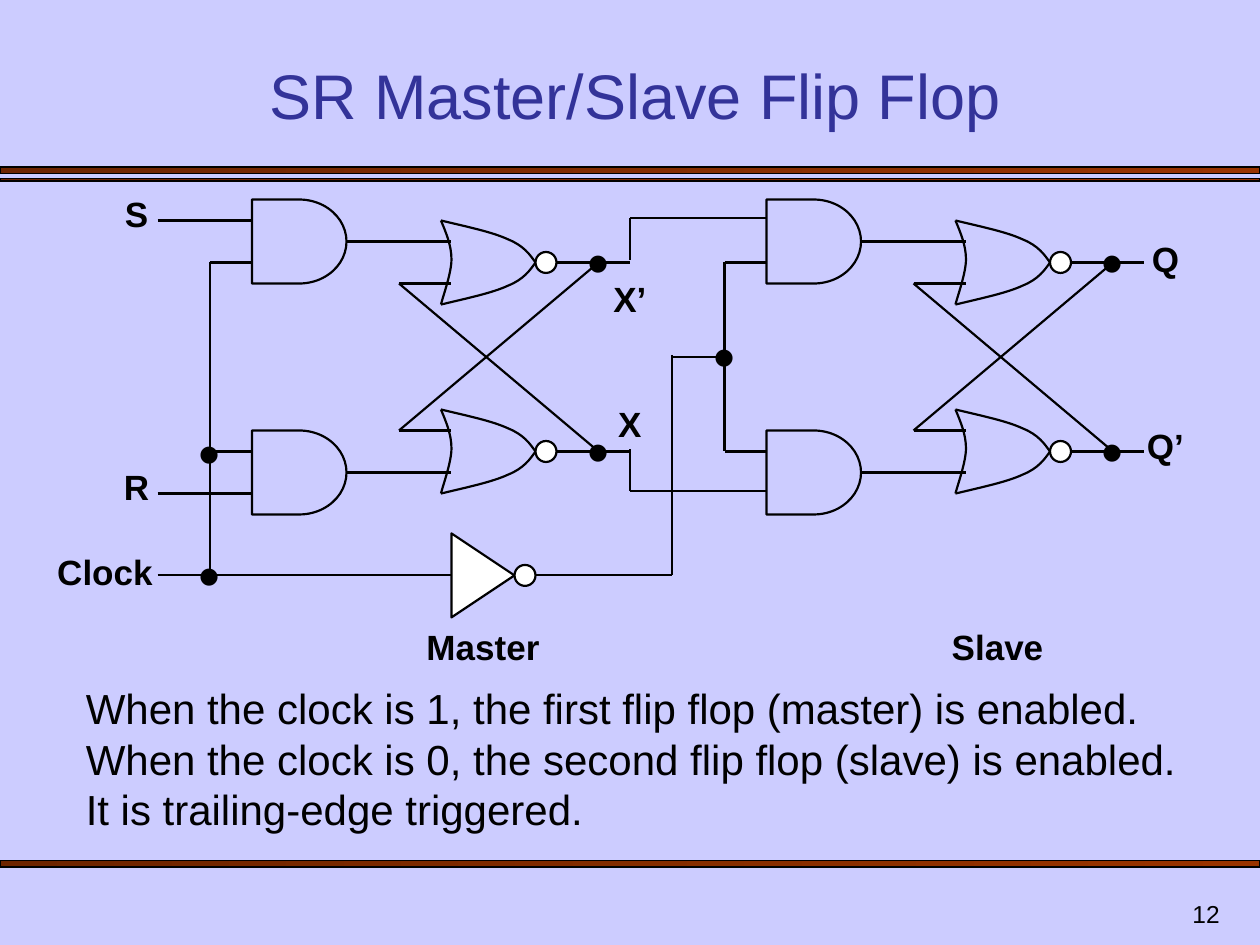
from dataclasses import dataclass
from typing import Any

from lxml.etree import SubElement
from pptx import Presentation
from pptx.dml.color import RGBColor
from pptx.enum.shapes import MSO_CONNECTOR as Connector, MSO_SHAPE as Preset
from pptx.enum.text import MSO_ANCHOR as Anchor, MSO_AUTO_SIZE as AutoSize, PP_ALIGN as Align
from pptx.oxml.ns import qn
from pptx.util import Cm, Pt


@dataclass(frozen=True)
class Theme:
    font: str = "Arial"
    background: RGBColor = RGBColor(0xCC, 0xCC, 0xFF)
    title: RGBColor = RGBColor(0x33, 0x33, 0x99)
    ink: RGBColor = RGBColor(0, 0, 0)
    bubble: RGBColor = RGBColor(0xFF, 0xFF, 0xFF)
    bar_start: RGBColor = RGBColor(0x6D, 0x24, 0x00)
    bar_end: RGBColor = RGBColor(0x99, 0x33, 0x00)
    title_size: int = 36
    body_size: int = 24
    label_size: int = 20
    dot_size: int = 36
    number_size: int = 14
    wire_width: float = 1.25
    bar_width: float = 0.75


THEME = Theme()
GRID = Cm(2.54) / 12  # the circuit is laid out on twelfths of an inch
RIGHT_SIDE = 3

# Bezier control points of an OR gate, 9 wide and 8 high
OR_BACK = [(0, 0), (0.5, 1.2), (1, 2.4), (1, 3.7), (1, 5), (0.2, 7.2), (0, 8)]
OR_TOP = [(0, 0), (2.5, 0.6), (4.9, 1.1), (6.4, 1.8), (7.9, 2.4), (8.5, 3.3), (9, 4)]
OR_BOTTOM = [(x, 8 - y) for x, y in OR_TOP]


def write(shape, text, size, color=THEME.ink, bold=False, align=Align.CENTER, anchor=Anchor.TOP):
    frame = shape.text_frame
    frame.word_wrap = True
    frame.auto_size = AutoSize.NONE
    frame.vertical_anchor = anchor
    frame.text = text
    paragraph = frame.paragraphs[0]
    paragraph.alignment = align
    for run in paragraph.runs:
        run.font.name, run.font.size, run.font.bold = THEME.font, Pt(size), bold
        run.font.color.rgb = color


def outline(shape, fill=None, width=THEME.wire_width):
    shape.shadow.inherit = False
    shape.line.color.rgb = THEME.ink
    shape.line.width = Pt(width)
    if fill is None:
        shape.fill.background()
    else:
        shape.fill.solid()
        shape.fill.fore_color.rgb = fill


def bend(shape):
    """Turn each three straight segments of a freeform into one cubic curve."""
    segments = list(shape._element.iter(qn("a:lnTo")))
    for first in range(0, len(segments), 3):
        curve = SubElement(segments[first].getparent(), qn("a:cubicBezTo"))
        for segment in segments[first:first + 3]:
            curve.append(segment[0])
            segment.getparent().remove(segment)


@dataclass
class Board:
    """A part of the circuit, measured in grid units from its own corner."""
    shapes: Any
    left: float
    top: float

    def at(self, x, y):
        return round((self.left + x) * GRID), round((self.top + y) * GRID)

    def box(self, x, y, width, height):
        return *self.at(x, y), round(width * GRID), round(height * GRID)

    def wire(self, start, end, source=None):
        connector = self.shapes.add_connector(Connector.STRAIGHT, *self.at(*start), *self.at(*end))
        connector.line.color.rgb = THEME.ink
        connector.line.width = Pt(THEME.wire_width)
        SubElement(connector._element.spPr, qn("a:effectLst"))
        if source is not None:
            connector.begin_connect(source, RIGHT_SIDE)

    def preset(self, kind, x, y, width, height, fill=None):
        shape = self.shapes.add_shape(kind, *self.box(x, y, width, height))
        outline(shape, fill)
        return shape

    def bubble(self, x, y):
        self.preset(Preset.OVAL, x, y, 2, 2, THEME.bubble)

    def freeform(self, points, closed=False, fill=None):
        start, *rest = [self.at(*point) for point in points]
        builder = self.shapes.build_freeform(*start)
        builder.add_line_segments(rest, close=closed)
        shape = builder.convert_to_shape()
        outline(shape, fill)
        return shape

    def label(self, text, x, y, width=6):
        shape = self.shapes.add_textbox(*self.box(x - width / 2, y - 2.6, width, 5.2))
        write(shape, text, THEME.label_size, bold=True)

    def dot(self, x, y):
        shape = self.shapes.add_textbox(*self.box(x - 3, y - 4.4, 6, 8.4))
        write(shape, "•", THEME.dot_size)


def new_board(slide, left, top):
    return Board(slide.shapes.add_group_shape().shapes, left, top)


def add_latch(slide, left, top, name, outputs):
    board = new_board(slide, left, top)
    for and_y, or_y, feedback_y, out_y in ((0, 2, 8, 6), (22, 20, 22, 24)):
        and_gate = board.preset(Preset.FLOWCHART_DELAY, 0, and_y, 9, 8)
        board.wire((9, and_y + 4), (19, and_y + 4), source=and_gate)
        for curve in (OR_BACK, OR_TOP, OR_BOTTOM):
            bend(board.freeform([(18 + x, or_y + y) for x, y in curve]))
        board.bubble(27, out_y - 1)
        board.wire((29, out_y), (36, out_y))
        board.wire((14, feedback_y), (19, feedback_y))
        board.wire((14, feedback_y), (33, 30 - out_y))
        board.dot(33, out_y)
    for text, x, y in outputs:
        board.label(text, x, y)
    board.label(name, 22, 42.6, width=16)


def add_inputs(slide, left, top):
    board = new_board(slide, left, top)
    for start, end in (((11, 2), (20, 2)), ((11, 28), (20, 28)), ((11, 35.8), (39, 35.8)),
                       ((16, 6), (20, 6)), ((16, 24), (20, 24)), ((16, 6), (16, 35.8))):
        board.wire(start, end)
    for y in (24.2, 35.8):
        board.dot(16, y)
    board.label("S", 9, 1.3)
    board.label("R", 9, 27.3)
    board.label("Clock", 6, 35.4, width=12)


def add_inverter(slide, left, top):
    board = new_board(slide, left, top)
    board.freeform([(0, 0), (0, 8), (6, 4)], closed=True, fill=THEME.bubble)
    board.bubble(6, 3)
    board.wire((8, 4), (21, 4))


def add_link(slide, left, top):
    """Wires from the master outputs and the inverter to the slave."""
    board = new_board(slide, left, top)
    for start, end in (((0, 1.8), (13, 1.8)), ((0, 1.8), (0, 5.8)),
                       ((0, 27.8), (13, 27.8)), ((0, 23.8), (0, 27.8)),
                       ((9, 6), (13, 6)), ((9, 24), (13, 24)), ((9, 6), (9, 24)),
                       ((4, 15), (9, 15)), ((4, 14.8), (4, 35.8))):
        board.wire(start, end)
    board.dot(9, 15)


def add_bar(slide, top, height):
    bar = slide.shapes.add_shape(Preset.RECTANGLE, 0, Cm(top), Cm(25.4), Cm(height))
    outline(bar, width=THEME.bar_width)
    bar.fill.gradient()
    bar.fill.gradient_angle = 0
    for stop, color in zip(bar.fill.gradient_stops, (THEME.bar_start, THEME.bar_end)):
        stop.color.rgb = color


def add_texts(slide):
    title = slide.shapes.title
    title.left, title.top, title.width, title.height = Cm(1.48), Cm(1.06), Cm(22.65), Cm(1.73)
    write(title, "SR Master/Slave Flip Flop", THEME.title_size, color=THEME.title, anchor=Anchor.BOTTOM)
    body = slide.shapes.add_textbox(Cm(1.48), Cm(13.64), Cm(22.65), Cm(3.3))
    write(body, "When the clock is 1, the first flip flop (master) is enabled.\v"
                "When the clock is 0, the second flip flop (slave) is enabled.\v"
                "It is trailing-edge triggered.",
          THEME.body_size, align=Align.LEFT)
    number = slide.shapes.add_textbox(Cm(19.56), Cm(17.78), Cm(5.28), Cm(1.06))
    write(number, "12", THEME.number_size, align=Align.RIGHT, anchor=Anchor.BOTTOM)


def main():
    presentation = Presentation()
    presentation.slide_width, presentation.slide_height = Cm(25.4), Cm(19.05)
    slide = presentation.slides.add_slide(presentation.slide_layouts[5])
    slide.background.fill.solid()
    slide.background.fill.fore_color.rgb = THEME.background
    for top, height in ((3.37, 0.13), (3.6, 0.05), (17.35, 0.13)):
        add_bar(slide, top, height)
    add_texts(slide)
    add_latch(slide, 73, 19, "Slave", [("Q", 38, 5.6), ("Q’", 38, 23.4)])
    add_link(slide, 60, 19)
    add_latch(slide, 24, 19, "Master", [("X’", 36, 9.4), ("X", 36, 21.3)])
    add_inputs(slide, 4, 19)
    add_inverter(slide, 43, 50.8)
    presentation.save("out.pptx")


if __name__ == "__main__":
    main()
